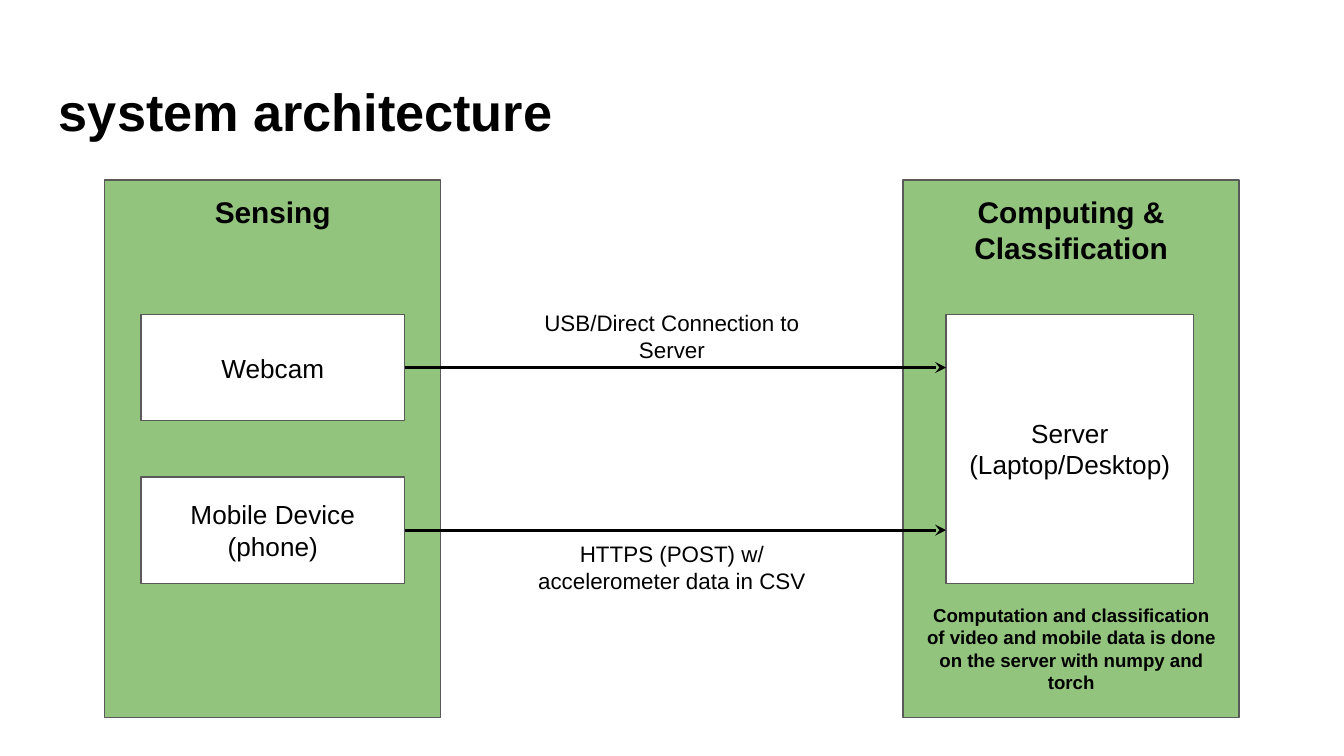
"""Build a system architecture slide: sensing devices linked to a server."""
from lxml import etree
from pptx import Presentation
from pptx.dml.color import RGBColor
from pptx.enum.shapes import MSO_CONNECTOR, MSO_SHAPE
from pptx.enum.text import MSO_ANCHOR, PP_ALIGN
from pptx.oxml.ns import qn
from pptx.util import Inches, Pt

RECTANGLE = MSO_SHAPE.RECTANGLE
STRAIGHT = MSO_CONNECTOR.STRAIGHT
TOP, MIDDLE = MSO_ANCHOR.TOP, MSO_ANCHOR.MIDDLE
LEFT, CENTER = PP_ALIGN.LEFT, PP_ALIGN.CENTER
RIGHT_SIDE = 3

COLORS = {"panel": "93C47D", "box": "FFFFFF", "outline": "595959", "ink": "000000"}
FONT = "Arial"
WIDTH = 10
HEIGHT = WIDTH * 9 / 16

TITLE = "system architecture"
PANELS = ["Sensing", "Computing & Classification"]
SERVER = "Server (Laptop/Desktop)"
LINKS = [
    ("Webcam", "USB/Direct Connection to Server", 2.27),
    ("Mobile Device (phone)", "HTTPS (POST) w/ accelerometer data in CSV", 3.99),
]
SUMMARY = ("Computation and classification of video and mobile data "
           "is done on the server with numpy and torch")

PANEL_WIDTH, PANEL_HEIGHT, PANEL_TOP = 2.5, 4, 1.34
PANEL_MARGIN = 0.78
PANEL_LEFTS = [PANEL_MARGIN, WIDTH - PANEL_MARGIN - PANEL_WIDTH]
BOX_TOP = PANEL_TOP + PANEL_HEIGHT / 4
SERVER_WIDTH, SERVER_HEIGHT = 1.84, PANEL_HEIGHT / 2
SERVER_LEFT = 7.04
DEVICE_WIDTH, DEVICE_HEIGHT = 1.96, 0.79
DEVICE_LEFT = PANEL_LEFTS[0] + (PANEL_WIDTH - DEVICE_WIDTH) / 2
DEVICE_PITCH = SERVER_HEIGHT - DEVICE_HEIGHT
LABEL_WIDTH, LABEL_HEIGHT = 2.44, 0.46
LABEL_LEFT = (WIDTH - LABEL_WIDTH) / 2
SUMMARY_WIDTH, SUMMARY_HEIGHT = 2.37, 0.75
SUMMARY_LEFT = PANEL_LEFTS[1] + (PANEL_WIDTH - SUMMARY_WIDTH) / 2


def color(name):
    return RGBColor.from_string(COLORS[name])


def write(shape, text, size, bold=False, anchor=MIDDLE, align=CENTER):
    frame = shape.text_frame
    frame.word_wrap = True
    frame.vertical_anchor = anchor
    frame.margin_left = frame.margin_right = Inches(0.1)
    frame.margin_top = frame.margin_bottom = Inches(0.1)
    frame.text = text
    paragraph = frame.paragraphs[0]
    paragraph.alignment = align
    font = paragraph.runs[0].font
    font.name, font.size, font.bold = FONT, Pt(size), bold
    font.color.rgb = color("ink")


def add_box(slide, area, fill, text, size, **style):
    shape = slide.shapes.add_shape(RECTANGLE, *map(Inches, area))
    shape.shadow.inherit = False
    shape.fill.solid()
    shape.fill.fore_color.rgb = color(fill)
    shape.line.color.rgb = color("outline")
    shape.line.width = Pt(0.75)
    write(shape, text, size, **style)
    return shape


def add_text(slide, area, text, size, **style):
    write(slide.shapes.add_textbox(*map(Inches, area)), text, size, **style)


def add_arrow(slide, device, end_x):
    y = device.top + device.height // 2
    arrow = slide.shapes.add_connector(
        STRAIGHT, device.left + device.width, y, Inches(end_x), y)
    arrow.begin_connect(device, RIGHT_SIDE)
    arrow.line.color.rgb = color("ink")
    arrow.line.width = Pt(1.5)
    line = arrow.line._get_or_add_ln()
    etree.SubElement(line, qn("a:tailEnd"), type="stealth")
    etree.SubElement(arrow._element.spPr, qn("a:effectLst"))


def main():
    presentation = Presentation()
    presentation.slide_width, presentation.slide_height = Inches(WIDTH), Inches(HEIGHT)
    slide = presentation.slides.add_slide(presentation.slide_layouts[6])

    add_text(slide, (0.34, 0.49, 9.32, 0.63), TITLE, 28, bold=True, anchor=TOP, align=LEFT)
    for left, heading in zip(PANEL_LEFTS, PANELS):
        area = (left, PANEL_TOP, PANEL_WIDTH, PANEL_HEIGHT)
        add_box(slide, area, "panel", heading, 16, bold=True, anchor=TOP)
    add_box(slide, (SERVER_LEFT, BOX_TOP, SERVER_WIDTH, SERVER_HEIGHT), "box", SERVER, 14)

    for row, (name, label, label_top) in enumerate(LINKS):
        top = BOX_TOP + row * DEVICE_PITCH
        device = add_box(slide, (DEVICE_LEFT, top, DEVICE_WIDTH, DEVICE_HEIGHT), "box", name, 14)
        add_arrow(slide, device, SERVER_LEFT)
        add_text(slide, (LABEL_LEFT, label_top, LABEL_WIDTH, LABEL_HEIGHT), label, 12)

    add_text(slide, (SUMMARY_LEFT, 4.39, SUMMARY_WIDTH, SUMMARY_HEIGHT), SUMMARY, 10,
             bold=True, anchor=TOP)
    presentation.save("out.pptx")


if __name__ == "__main__":
    main()
